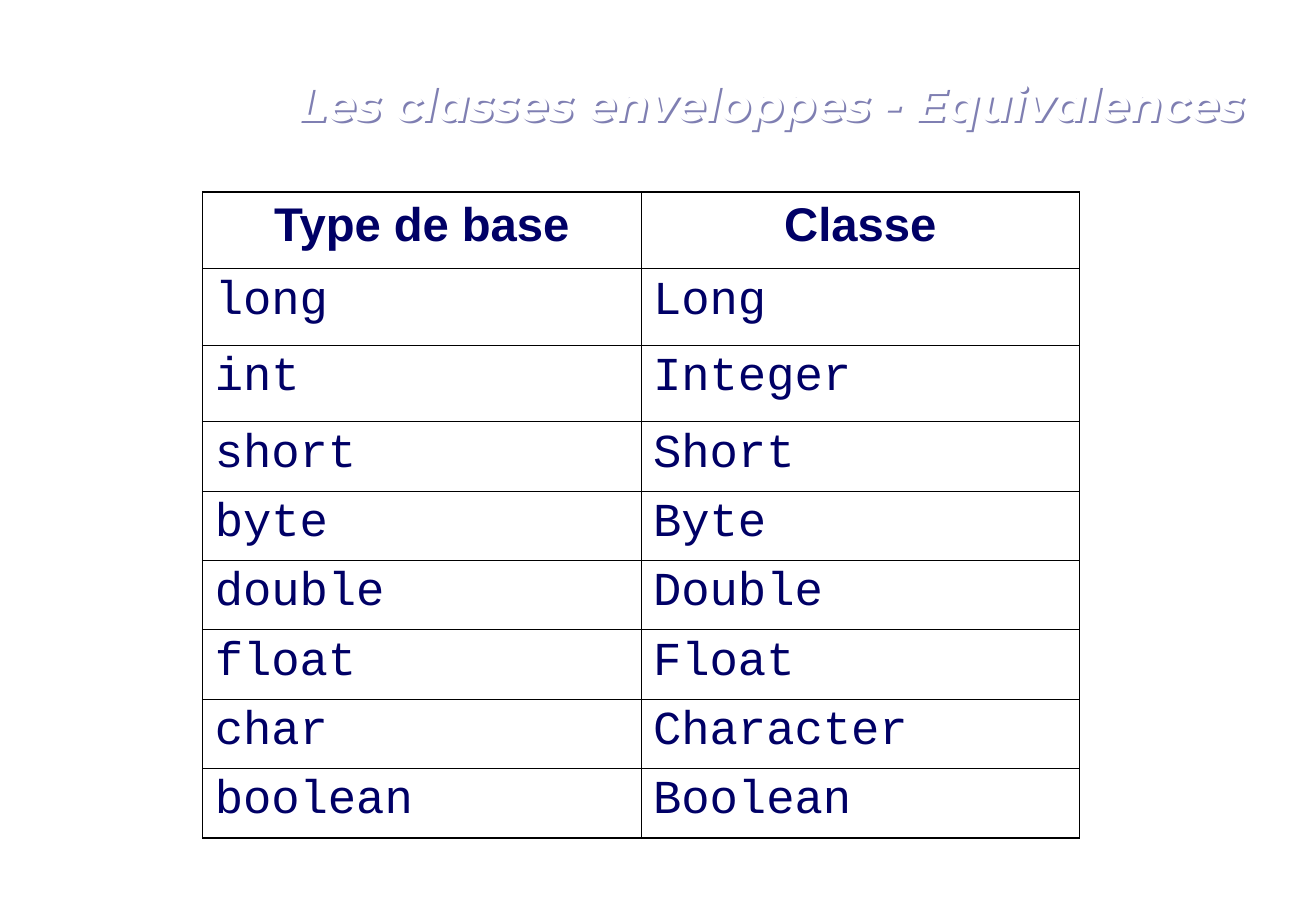
"""Build a slide that pairs the Java base types with their wrapper classes."""
from lxml import etree
from pptx import Presentation
from pptx.dml.color import RGBColor
from pptx.enum.text import MSO_ANCHOR, MSO_AUTO_SIZE, PP_ALIGN
from pptx.oxml import parse_xml
from pptx.oxml.ns import nsdecls, qn
from pptx.util import Cm, Pt

LEFT, CENTER, RIGHT = PP_ALIGN.LEFT, PP_ALIGN.CENTER, PP_ALIGN.RIGHT
MIDDLE = MSO_ANCHOR.MIDDLE
NO_FIT = MSO_AUTO_SIZE.NONE
COLORS = {"white": "FFFFFF", "navy": "000066", "black": "000000"}
OUTER_LINE, INNER_LINE = Pt(1.08), Pt(0.45)

EQUIVALENCES = [
    ("Type de base", "Classe"),
    ("long", "Long"),
    ("int", "Integer"),
    ("short", "Short"),
    ("byte", "Byte"),
    ("double", "Double"),
    ("float", "Float"),
    ("char", "Character"),
    ("boolean", "Boolean"),
]
ROW_HEIGHTS = [Cm(1.6)] * 3 + [Cm(1.45)] * 6
COLUMN_WIDTH = Cm(9.17)


def write_text(text_frame, text, font, color, align=LEFT, bold=False, italic=False,
               space_before=0, line_spacing=1.0):
    paragraph = text_frame.paragraphs[0]
    paragraph.alignment = align
    paragraph.space_before = Pt(space_before)
    paragraph.line_spacing = line_spacing
    run = paragraph.add_run()
    run.text = text
    run.font.name = font
    run.font.size = Pt(28)
    run.font.bold = bold
    run.font.italic = italic
    run.font.color.rgb = RGBColor.from_string(COLORS[color])


def set_borders(cell, widths):
    properties = cell._tc.get_or_add_tcPr()
    for position, (side, width) in enumerate(widths.items()):
        line = etree.Element(qn(f"a:ln{side}"), w=str(width))
        fill = etree.SubElement(line, qn("a:solidFill"))
        etree.SubElement(fill, qn("a:srgbClr"), val=COLORS["black"])
        properties.insert(position, line)


presentation = Presentation()
presentation.slide_width = Cm(27.53)
presentation.slide_height = Cm(19.05)
slide = presentation.slides.add_slide(presentation.slide_layouts[5])

title = slide.shapes.title
title.left, title.top, title.width, title.height = Cm(1.22), Cm(0.64), Cm(25.07), Cm(3.18)
title.text_frame.vertical_anchor = MIDDLE
title.text_frame.auto_size = NO_FIT
write_text(title.text_frame, "Les classes enveloppes - Equivalences", "Montserrat", "white",
           align=RIGHT, bold=True, italic=True, line_spacing=0.9)
title._element.spPr.append(parse_xml(
    f'<a:effectLst {nsdecls("a")}><a:outerShdw dist="{Cm(0.06)}" dir="2700000">'
    f'<a:srgbClr val="{COLORS["navy"]}"><a:alpha val="50000"/></a:srgbClr>'
    '</a:outerShdw></a:effectLst>'))

table = slide.shapes.add_table(
    len(EQUIVALENCES), 2, Cm(4.24), Cm(4.02), 2 * COLUMN_WIDTH, sum(ROW_HEIGHTS)).table
table.horz_banding = False
for column in table.columns:
    column.width = COLUMN_WIDTH

last_row = len(EQUIVALENCES) - 1
for row_index, names in enumerate(EQUIVALENCES):
    table.rows[row_index].height = ROW_HEIGHTS[row_index]
    is_header = row_index == 0
    for column_index, name in enumerate(names):
        cell = table.cell(row_index, column_index)
        cell.fill.solid()
        cell.fill.fore_color.rgb = RGBColor.from_string(COLORS["white"])
        write_text(cell.text_frame, name, "Arial" if is_header else "Courier New", "navy",
                   align=CENTER if is_header else LEFT, bold=is_header, space_before=7)
        set_borders(cell, {
            "L": OUTER_LINE if column_index == 0 else INNER_LINE,
            "R": OUTER_LINE if column_index == 1 else INNER_LINE,
            "T": OUTER_LINE if is_header else INNER_LINE,
            "B": OUTER_LINE if row_index == last_row else INNER_LINE,
        })

presentation.save("out.pptx")
